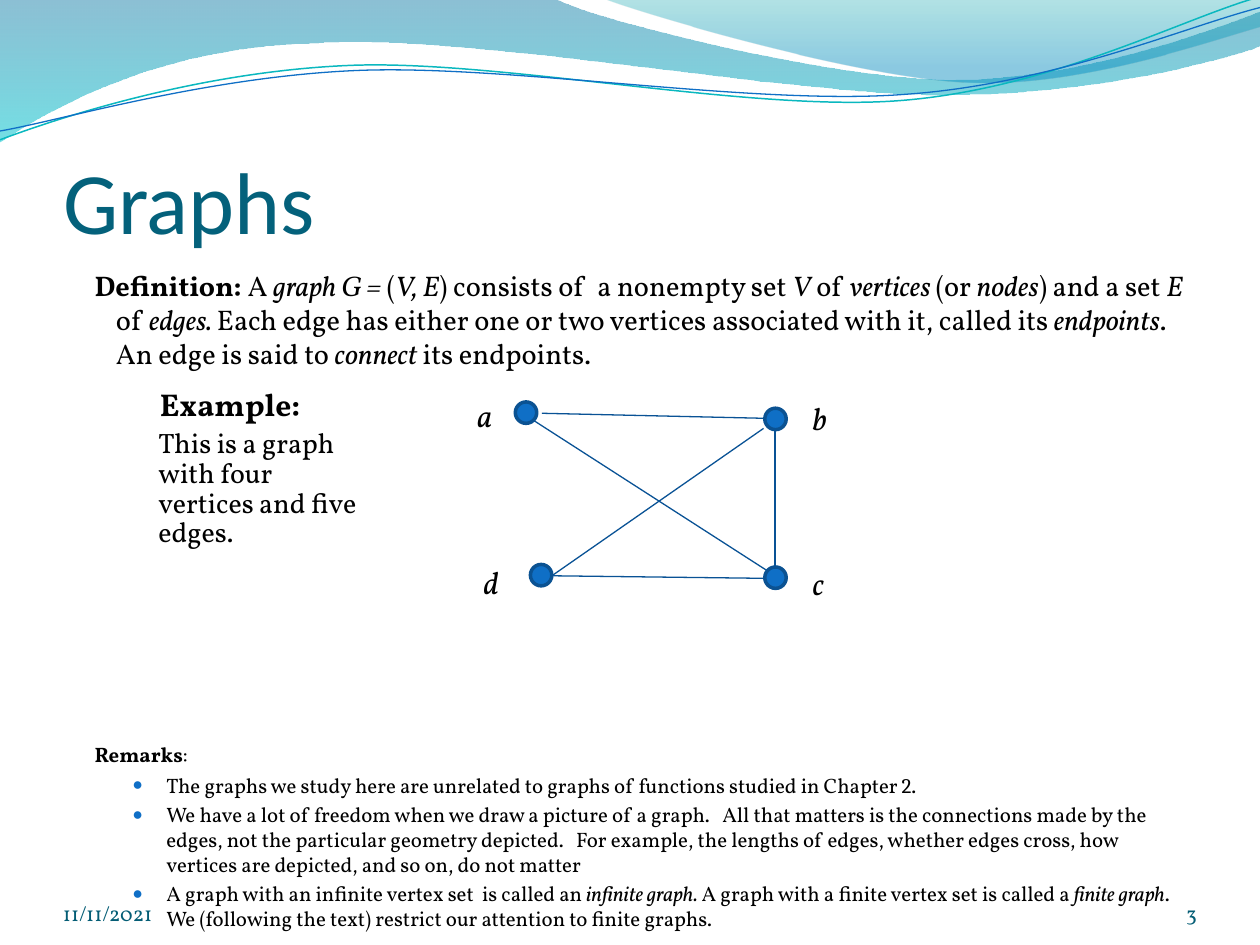
from dataclasses import dataclass

from lxml import etree
from pptx import Presentation
from pptx import util as u
from pptx.dml.color import RGBColor
from pptx.enum import shapes, text
from pptx.oxml import ns

BLACK = RGBColor(0x00, 0x00, 0x00)
TITLE_TEAL = RGBColor(0x04, 0x61, 0x7B)
FOOTER_TEAL = RGBColor(0x04, 0x5D, 0x75)
BLUE = RGBColor(0x0F, 0x6F, 0xC6)
NODE_EDGE = RGBColor(0x0B, 0x52, 0x92)
EDGE_BLUE = RGBColor(0x09, 0x52, 0x95)
TEAL = RGBColor(0x0A, 0xB8, 0xBF)
FONT = "Vollkorn"
NODE_SIZE = 0.17


@dataclass
class Stop:
    color: RGBColor
    position: float
    opacity: int


@dataclass
class Vertex:
    name: str
    left: float
    top: float
    label_left: float
    label_top: float
    label_height: float = 0.27


@dataclass
class Wave:
    """A segment of 2 numbers is a straight line; one of 6 is a Bezier curve."""
    start: tuple
    segments: list
    stops: tuple = ()
    line: RGBColor | None = None
    width: float = 0


WAVES = [
    Wave((0, 0), [(4.4, -0.01), (4.76, 0.17, 6.64, 0.63, 7.58, 0.63),
                  (8.53, 0.63, 9.58, 0.26, 10, 0.09), (10.01, 0.36),
                  (9.83, 0.44, 8.7, 0.76, 7.46, 0.75),
                  (6.22, 0.75, 3.82, 0.28, 2.57, 0.34),
                  (1.29, 0.36, 0.46, 0.83, -0.01, 1.13)],
         stops=(Stop(RGBColor(0x00, 0x74, 0xA1), 0, 45),
                Stop(RGBColor(0x00, 0xC6, 0xCF), 1, 55))),
    Wave((4.79, -0.01), [(5.09, 0.11, 6.82, 0.62, 7.69, 0.65),
                         (8.56, 0.69, 9.61, 0.32, 10, 0.21), (10, 0)],
         stops=(Stop(RGBColor(0x00, 0xA1, 0xA9), 0, 30),
                Stop(RGBColor(0x00, 0x8B, 0xBF), 0.8, 45))),
    Wave((0, 1.11), [(0.48, 0.93, 1.58, 0.57, 2.77, 0.52),
                     (3.95, 0.47, 5.93, 0.89, 7.13, 0.8),
                     (8.33, 0.71, 9.38, 0.15, 9.98, -0.02)], line=TEAL, width=0.85),
    Wave((0, 1.04), [(0.47, 0.96, 1.64, 0.61, 2.83, 0.56),
                     (4.03, 0.51, 5.97, 0.84, 7.17, 0.75),
                     (8.36, 0.67, 9.41, 0.21, 10, 0.06)], line=BLUE, width=0.75),
]
VERTICES = [
    Vertex("a", 4.09, 3.19, 3.69, 3.09),
    Vertex("b", 6.07, 3.24, 6.35, 3.12),
    Vertex("c", 6.07, 4.5, 6.35, 4.43),
    Vertex("d", 4.21, 4.48, 3.74, 4.42, 0.4),
]
EDGES = [
    (4.24, 3.34, 6.09, 4.53),  # a-c
    (4.38, 4.57, 6.06, 3.4),   # d-b
    (4.3, 3.28, 6.06, 3.32),   # a-b
    (6.15, 3.4, 6.15, 4.5),    # b-c
    (4.38, 4.57, 6.06, 4.59),  # d-c
]
# Asterisks enclose italic words
DEFINITION = (
    " A *graph G = *(*V, E*) consists of  a nonempty set *V* of *vertices *(or *nodes*)"
    " and a set *E* of *edges. *Each edge has either one or two vertices associated"
    " with it, called its *endpoints*.  An edge is said to *connect* its endpoints.")
REMARKS = [
    "The graphs we study here are unrelated to graphs of functions studied in Chapter ",
    "We have a lot of freedom when we draw a picture of a graph.   All that matters is the"
    " connections made by the edges, not the particular geometry depicted.   For example,"
    " the lengths of edges, whether edges cross, how vertices are depicted, and so on,"
    " do not matter",
    "A graph with an infinite vertex set  is called an *infinite graph. *A graph with a"
    " finite vertex set is called a *finite graph*. We (following the text) restrict our"
    " attention to finite graphs.",
]


def bend_segments(shape, wave: Wave) -> None:
    """Turn the straight lines of the outline into the wave's Bezier curves."""
    lines = list(shape.element.iter(ns.qn("a:lnTo")))
    for line, segment in zip(lines, wave.segments):
        if len(segment) == 2:
            continue
        curve = etree.Element(ns.qn("a:cubicBezTo"))
        for x, y in zip(segment[::2], segment[1::2]):
            etree.SubElement(curve, ns.qn("a:pt"), x=str(u.Inches(x) - shape.left),
                             y=str(u.Inches(y) - shape.top))
        line.getparent().replace(line, curve)


def draw_wave(slide, wave: Wave, layer: int) -> None:
    builder = slide.shapes.build_freeform(*map(u.Inches, wave.start))
    ends = [tuple(map(u.Inches, segment[-2:])) for segment in wave.segments]
    builder.add_line_segments(ends, close=bool(wave.stops))
    shape = builder.convert_to_shape()
    bend_segments(shape, wave)
    shape.shadow.inherit = False
    if wave.stops:
        shape.line.fill.background()
        shape.fill.gradient()
        shape.fill.gradient_angle = 270
        for gradient_stop, stop in zip(shape.fill.gradient_stops, wave.stops):
            gradient_stop.color.rgb = stop.color
            gradient_stop.position = stop.position
        for color, stop in zip(shape.element.iter(ns.qn("a:srgbClr")), wave.stops):
            etree.SubElement(color, ns.qn("a:alpha"), val=str(stop.opacity * 1000))
    else:
        shape.fill.background()
        shape.line.color.rgb = wave.line
        shape.line.width = u.Pt(wave.width)
    slide.shapes.element.insert(2 + layer, shape.element)  # behind the placeholders


def place(shape, left: float, top: float, width: float, height: float) -> None:
    shape.left, shape.top = u.Inches(left), u.Inches(top)
    shape.width, shape.height = u.Inches(width), u.Inches(height)


def set_font(font, size: float, color: RGBColor = BLACK, name: str = FONT) -> None:
    font.size, font.name, font.color.rgb = u.Pt(size), name, color


def add_text(slide, words: str, box: tuple, size: float, color: RGBColor = BLACK):
    shape = slide.shapes.add_textbox(*map(u.Inches, box))
    shape.text_frame.word_wrap = True
    paragraph = shape.text_frame.paragraphs[0]
    paragraph.text = words
    set_font(paragraph.font, size, color)
    return shape.text_frame, paragraph


def add_footer(slide, words: str, box: tuple, alignment) -> None:
    frame, paragraph = add_text(slide, words, box, 12, FOOTER_TEAL)
    frame.margin_left = frame.margin_right = frame.margin_top = frame.margin_bottom = 0
    frame.vertical_anchor = text.MSO_ANCHOR.BOTTOM
    paragraph.alignment = alignment


def add_runs(paragraph, marked: str) -> None:
    for index, words in enumerate(marked.split("*")):
        run = paragraph.add_run()
        run.text = words
        if index % 2:
            run.font.italic = True


def format_body(paragraph, size: float, line: float, before: float,
                margin: float, indent: float, bullet: bool = False) -> None:
    set_font(paragraph.font, size)
    paragraph.line_spacing, paragraph.space_before = u.Pt(line), u.Pt(before)
    properties = paragraph._p.get_or_add_pPr()
    properties.set("marL", str(u.Inches(margin)))
    properties.set("indent", str(u.Inches(indent)))
    if bullet:
        color = etree.Element(ns.qn("a:buClr"))
        etree.SubElement(color, ns.qn("a:srgbClr"), val=str(BLUE))
        marks = [color, etree.Element(ns.qn("a:buSzPct"), val="85000"),
                 etree.Element(ns.qn("a:buChar"), char="●")]
    else:
        marks = [etree.Element(ns.qn("a:buNone"))]
    defaults = properties.find(ns.qn("a:defRPr"))
    for mark in marks:
        defaults.addprevious(mark)


def add_heading(paragraph, bold: str, rest: str) -> None:
    run = paragraph.add_run()
    run.text, run.font.bold = bold, True
    add_runs(paragraph, rest)


def fill_body(body) -> None:
    place(body, 0.52, 2.08, 9, 4.8)
    frame = body.text_frame
    frame.auto_size = text.MSO_AUTO_SIZE.NONE
    definition = frame.paragraphs[0]
    add_heading(definition, "Definition:", DEFINITION)
    format_body(definition, 16.2, 19.4, 3.8, 0.3, -0.17)
    # The space above the remarks leaves room for the example
    heading = frame.add_paragraph()
    add_heading(heading, "Remarks", ":")
    format_body(heading, 11.9, 14.3, 212, 0.3, -0.17)
    for index, remark in enumerate(REMARKS):
        paragraph = frame.add_paragraph()
        paragraph.level = 1
        add_runs(paragraph, remark)
        if index == 0:
            chapter = paragraph.add_run()
            chapter.text, chapter.font.name = "2", "Cambria"
            add_runs(paragraph, ".")
        format_body(paragraph, 11.9, 14.3, 2.4 if index else 3.5, 0.7, -0.27, bullet=True)


def draw_edge(slide, ends: tuple) -> None:
    edge = slide.shapes.add_connector(shapes.MSO_CONNECTOR.STRAIGHT, *map(u.Inches, ends))
    edge.line.color.rgb, edge.line.width = EDGE_BLUE, u.Pt(0.75)
    etree.SubElement(edge.element.spPr, ns.qn("a:effectLst"))


def draw_vertex(slide, vertex: Vertex) -> None:
    box = (vertex.left, vertex.top, NODE_SIZE, NODE_SIZE)
    node = slide.shapes.add_shape(shapes.MSO_SHAPE.OVAL, *map(u.Inches, box))
    node.shadow.inherit = False
    node.fill.solid()
    node.fill.fore_color.rgb = BLUE
    node.line.color.rgb, node.line.width = NODE_EDGE, u.Pt(2)
    label_box = (vertex.label_left, vertex.label_top, 0.35, vertex.label_height)
    frame, label = add_text(slide, vertex.name, label_box, 18)
    frame.auto_size = text.MSO_AUTO_SIZE.SHAPE_TO_FIT_TEXT
    label.font.italic = True


def main() -> None:
    presentation = Presentation()
    presentation.slide_width, presentation.slide_height = u.Inches(10), u.Inches(7.5)
    slide = presentation.slides.add_slide(presentation.slide_layouts[1])
    for layer, wave in enumerate(WAVES):
        draw_wave(slide, wave, layer)

    # Title and body
    title = slide.shapes.title
    place(title, 0.5, 0.75, 9, 1.25)
    frame = title.text_frame
    frame.text = "Graphs"
    frame.auto_size = text.MSO_AUTO_SIZE.NONE
    frame.vertical_anchor = text.MSO_ANCHOR.BOTTOM
    frame.margin_left = frame.margin_right = frame.margin_bottom = 0
    frame.paragraphs[0].alignment = text.PP_ALIGN.LEFT
    set_font(frame.paragraphs[0].font, 50, TITLE_TEAL, "Calibri")
    fill_body(slide.placeholders[1])

    # Example graph
    for vertex in VERTICES:
        draw_vertex(slide, vertex)
    for ends in EDGES:
        draw_edge(slide, ends)
    _, example = add_text(slide, "Example:", (1.17, 3.01, 1.38, 0.4), 18)
    example.font.bold = True
    _, caption = add_text(slide, "This is a graph with four vertices and five edges.",
                          (1.16, 3.36, 1.83, 1.05), 16)
    caption.line_spacing = u.Pt(17)

    # Date and slide number
    add_footer(slide, "11/11/2021", (0.5, 6.95, 2.33, 0.4), text.PP_ALIGN.LEFT)
    add_footer(slide, "3", (8.67, 6.95, 0.83, 0.4), text.PP_ALIGN.RIGHT)
    presentation.save("out.pptx")


if __name__ == "__main__":
    main()
